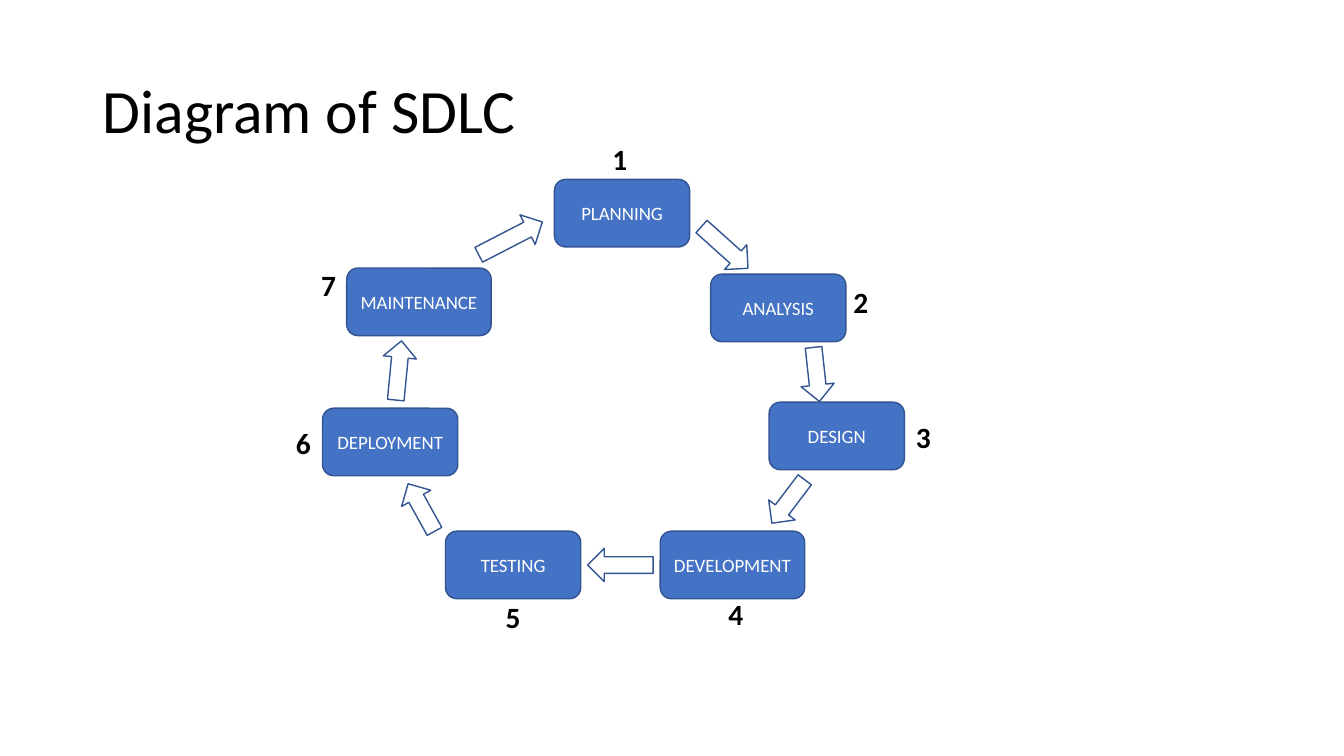
from pptx import Presentation
from pptx.dml.color import RGBColor
from pptx.enum.shapes import MSO_SHAPE as Shape
from pptx.enum.text import MSO_ANCHOR as Anchor, PP_ALIGN as Align
from pptx.util import Inches, Pt

COLORS = {"box": "4472C4", "outline": "325491", "paper": "FFFFFF", "ink": "000000"}
COLUMNS, ROWS = 160, 90

# Each stage: name, box (left, top, width), number (left, top),
# arrow to the next stage (left, top, length, rotation); all in grid units
STAGES = [
    ("PLANNING", (66, 21.36, 16.1), (71.52, 16.68), (82.56, 27.48, 7.44, 41.9)),
    ("ANALYSIS", (84.6, 32.64, 16.1), (100.2, 33.72), (93.96, 42.6, 6.48, 83.8)),
    ("DESIGN", (91.56, 47.88, 16.1), (107.64, 49.8), (90.6, 57.72, 6.48, 127.1)),
    ("DEVELOPMENT", (78.6, 63.24, 17.2), (85.32, 70.92), (69.96, 65.28, 7.8, 180)),
    ("TESTING", (53.04, 63.24, 16.1), (58.8, 71.28), (46.92, 58.44, 6.48, 241)),
    ("DEPLOYMENT", (38.4, 48.6, 16.1), (33.84, 50.52), (43.92, 42.12, 7.08, 275.5)),
    ("MAINTENANCE", (41.28, 31.92, 17.2), (36.84, 31.68), (56.52, 26.4, 8.52, 332.7)),
]


class CycleSlide:
    font = "Calibri"
    box_height, arrow_height = 8.04, 3.96
    number_width, number_height = 4.56, 4.32

    def __init__(self, presentation):
        self.slide = presentation.slides.add_slide(presentation.slide_layouts[6])
        self.column = presentation.slide_width / COLUMNS
        self.row = presentation.slide_height / ROWS

    def place(self, left, top, width, height):
        return (round(left * self.column), round(top * self.row),
                round(width * self.column), round(height * self.row))

    def label(self, shape, text, size, color, align=Align.CENTER, bold=False):
        frame = shape.text_frame
        frame.text = text
        frame.vertical_anchor = Anchor.MIDDLE
        paragraph = frame.paragraphs[0]
        paragraph.alignment = align
        font = paragraph.runs[0].font
        font.name, font.size, font.bold = self.font, Pt(size), bold
        font.color.rgb = RGBColor.from_string(COLORS[color])

    def outlined(self, kind, fill, *place):
        shape = self.slide.shapes.add_shape(kind, *self.place(*place))
        shape.shadow.inherit = False
        shape.fill.solid()
        shape.fill.fore_color.rgb = RGBColor.from_string(COLORS[fill])
        shape.line.color.rgb = RGBColor.from_string(COLORS["outline"])
        shape.line.width = Pt(1)
        return shape

    def title(self, text):
        shape = self.slide.shapes.add_textbox(*self.place(11.04, 4.8, 138, 17.4))
        self.label(shape, text, 44, "ink", Align.LEFT)
        shape.text_frame.word_wrap = True
        shape.text_frame.paragraphs[0].line_spacing = 0.9

    def box(self, text, left, top, width):
        shape = self.outlined(Shape.ROUNDED_RECTANGLE, "box",
                              left, top, width, self.box_height)
        self.label(shape, text, 13.5, "paper")

    def arrow(self, left, top, length, rotation):
        shape = self.outlined(Shape.RIGHT_ARROW, "paper",
                              left, top, length, self.arrow_height)
        shape.rotation = rotation

    def number(self, value, left, top):
        shape = self.slide.shapes.add_textbox(
            *self.place(left, top, self.number_width, self.number_height))
        self.label(shape, str(value), 21, "ink", bold=True)
        frame = shape.text_frame
        frame.word_wrap = True
        frame.margin_left = frame.margin_right = 0
        frame.margin_top = frame.margin_bottom = 0


def main():
    presentation = Presentation()
    presentation.slide_width, presentation.slide_height = Inches(13.33), Inches(7.5)
    cycle = CycleSlide(presentation)

    # Title
    cycle.title("Diagram of SDLC")

    # Stages of the cycle
    for name, box, _, _ in STAGES:
        cycle.box(name, *box)

    # Arrows between the stages
    for _, _, _, arrow in STAGES:
        cycle.arrow(*arrow)

    # Stage numbers
    for value, (_, _, number, _) in enumerate(STAGES, start=1):
        cycle.number(value, *number)

    presentation.save("out.pptx")


if __name__ == "__main__":
    main()
